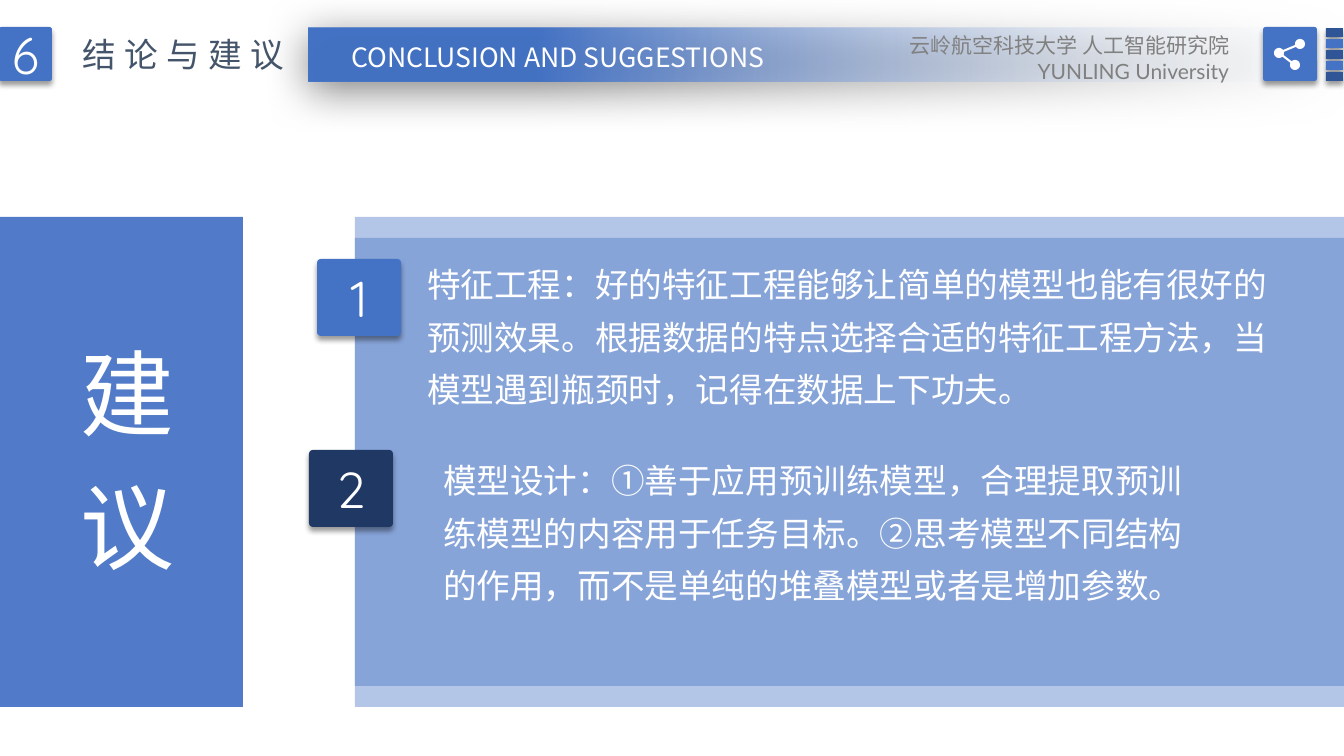
"""Build the suggestions slide of the conclusion section."""
import math
from dataclasses import dataclass

import lxml.etree
import pptx
import pptx.dml.color
import pptx.enum.shapes
import pptx.enum.text
import pptx.oxml.ns
import pptx.shapes.autoshape
import pptx.shapes.base
import pptx.slide
import pptx.text.text
import pptx.util

EMU_PER_PX = 12192000 / 1344
WHITE = pptx.dml.color.RGBColor(0xFF, 0xFF, 0xFF)
PALE = pptx.dml.color.RGBColor(0xF7, 0xFA, 0xFD)
BLUE = pptx.dml.color.RGBColor(0x44, 0x72, 0xC4)
DEEP_BLUE = pptx.dml.color.RGBColor(0x2F, 0x55, 0x97)
NAVY = pptx.dml.color.RGBColor(0x20, 0x38, 0x64)
SLATE = pptx.dml.color.RGBColor(0x44, 0x54, 0x6A)
GREY = pptx.dml.color.RGBColor(0x80, 0x80, 0x80)
CHINESE = "Noto Sans CJK SC"
RECTANGLE = pptx.enum.shapes.MSO_SHAPE.RECTANGLE
ROUNDED = pptx.enum.shapes.MSO_SHAPE.ROUNDED_RECTANGLE
LEFT = pptx.enum.text.PP_ALIGN.LEFT
CENTER = pptx.enum.text.PP_ALIGN.CENTER
RIGHT = pptx.enum.text.PP_ALIGN.RIGHT


@dataclass(frozen=True)
class Box:
    left: int
    top: int
    width: int
    height: int


@dataclass(frozen=True)
class Style:
    size: int
    color: pptx.dml.color.RGBColor
    font: str = CHINESE
    spacing: int = 0
    align: pptx.enum.text.PP_ALIGN = LEFT


@dataclass(frozen=True)
class Shadow:
    opacity: int
    blur: int
    distance: int
    angle: int


@dataclass(frozen=True)
class Block:
    box: Box
    color: pptx.dml.color.RGBColor
    opacity: int = 100
    kind: pptx.enum.shapes.MSO_SHAPE = ROUNDED
    corner: float = 0.05
    shadow: Shadow | None = Shadow(40, 4, 3, 90)
    number: str = ""


@dataclass(frozen=True)
class Suggestion:
    box: Box
    text: str


NUMBER = Style(36, WHITE, "Quicksand", align=CENTER)
BODY = Style(24, WHITE)
PANELS = [Block(Box(355, top, 989, 469), BLUE, 40, corner=0, shadow=None) for top in (238, 217)]
BADGES = [
    Block(Box(317, 259, 84, 77), BLUE, number="1"),
    Block(Box(309, 450, 84, 77), NAVY, number="2"),
]
SIDE = Block(Box(-1, 217, 244, 490), BLUE, 93, RECTANGLE, shadow=None)
BANNER = Block(Box(309, 28, 1034, 53), BLUE, kind=RECTANGLE, shadow=Shadow(50, 31, 6, 97))
SECTION = Block(Box(-1, 27, 53, 54), BLUE, number="6")
STRIPES = [
    Block(Box(1326, 28 + 11 * row, 17, 9), BLUE if row % 2 else DEEP_BLUE) for row in range(5)
]
SHARE_TILE = Block(Box(1263, 27, 54, 54), BLUE)
SUGGESTIONS = [
    Suggestion(
        Box(417, 247, 872, 168),
        "特征工程：好的特征工程能够让简单的模型也能有很好的预测效果。"
        "根据数据的特点选择合适的特征工程方法，当模型遇到瓶颈时，记得在数据上下功夫。",
    ),
    Suggestion(
        Box(433, 443, 786, 222),
        "模型设计：①善于应用预训练模型，合理提取预训练模型的内容用于任务目标。"
        "②思考模型不同结构的作用，而不是单纯的堆叠模型或者是增加参数。",
    ),
]


def px(length: float) -> pptx.util.Emu:
    return pptx.util.Emu(round(length * EMU_PER_PX))


def edges(box: Box) -> tuple[pptx.util.Emu, ...]:
    return px(box.left), px(box.top), px(box.width), px(box.height)


def add_child(parent: lxml.etree.ElementBase, tag: str, **attributes: object) -> lxml.etree.ElementBase:
    child = lxml.etree.SubElement(parent, pptx.oxml.ns.qn(tag))
    for name, value in attributes.items():
        child.set(name, str(value))
    return child


def fade(shape: pptx.shapes.autoshape.Shape, opacity: int) -> None:
    color = next(shape.element.spPr.iter(pptx.oxml.ns.qn("a:srgbClr")))
    add_child(color, "a:alpha", val=opacity * 1000)


def cast_shadow(shape: pptx.shapes.autoshape.Shape, shadow: Shadow) -> None:
    effects = shape.element.spPr.find(pptx.oxml.ns.qn("a:effectLst"))
    outer = add_child(
        effects, "a:outerShdw", blurRad=pptx.util.Pt(shadow.blur),
        dist=pptx.util.Pt(shadow.distance), dir=shadow.angle * 60000, rotWithShape=0,
    )
    add_child(add_child(outer, "a:srgbClr", val="000000"), "a:alpha", val=shadow.opacity * 1000)


def write(paragraph: pptx.text.text._Paragraph, text: str, style: Style) -> None:
    paragraph.alignment = style.align
    run = paragraph.add_run()
    run.text = text
    run.font.size = pptx.util.Pt(style.size)
    run.font.color.rgb = style.color
    run.font.name = style.font
    properties = run.font._element
    add_child(properties, "a:ea", typeface=style.font)
    if style.spacing:
        properties.set("spc", str(style.spacing * 100))


def draw_block(slide: pptx.slide.Slide, block: Block) -> pptx.shapes.autoshape.Shape:
    shape = slide.shapes.add_shape(block.kind, *edges(block.box))
    if block.kind == ROUNDED:
        shape.adjustments[0] = block.corner
    shape.fill.solid()
    shape.fill.fore_color.rgb = block.color
    shape.line.fill.background()
    shape.shadow.inherit = False
    if block.opacity < 100:
        fade(shape, block.opacity)
    if block.shadow:
        cast_shadow(shape, block.shadow)
    if block.number:
        shape.text_frame.vertical_anchor = pptx.enum.text.MSO_ANCHOR.MIDDLE
        write(shape.text_frame.paragraphs[0], block.number, NUMBER)
    return shape


def draw_text(
    slide: pptx.slide.Slide, box: Box, text: str, style: Style, wrap: bool = False
) -> pptx.text.text.TextFrame:
    frame = slide.shapes.add_textbox(*edges(box)).text_frame
    frame.word_wrap = wrap
    write(frame.paragraphs[0], text, style)
    return frame


def fill_placeholder(
    placeholder: pptx.shapes.base.BaseShape, box: Box, text: str, style: Style, wrap: bool, line_spacing: float
) -> None:
    placeholder.element.getparent().append(placeholder.element)
    placeholder.left, placeholder.top, placeholder.width, placeholder.height = edges(box)
    frame = placeholder.text_frame
    frame.word_wrap = wrap
    frame.auto_size = pptx.enum.text.MSO_AUTO_SIZE.NONE
    frame.vertical_anchor = pptx.enum.text.MSO_ANCHOR.TOP
    paragraph = frame.paragraphs[0]
    write(paragraph, text, style)
    paragraph.line_spacing = line_spacing
    paragraph.space_before = pptx.util.Pt(0)
    properties = paragraph._p.get_or_add_pPr()
    properties.set("marL", "0")
    properties.set("indent", "0")
    add_child(properties, "a:buNone")


def draw_banner(slide: pptx.slide.Slide) -> None:
    banner = draw_block(slide, BANNER)
    banner.fill.gradient()
    banner.fill.gradient_angle = 180
    for stop, color, position in zip(banner.fill.gradient_stops, (PALE, BLUE), (0, 0.78)):
        stop.color.rgb = color
        stop.position = position
    fade(banner, 0)


def draw_share_icon(slide: pptx.slide.Slide) -> None:
    top, hub, bottom = (1300, 44), (1279, 53), (1295, 65)
    arcs = [(top, 168, 504), (hub, -12, 24), (bottom, 228, 564), (hub, 48, 324)]
    outline = [
        (px(x + 5 * math.cos(math.radians(angle))), px(y + 5 * math.sin(math.radians(angle))))
        for (x, y), start, end in arcs
        for angle in range(start, end + 1, 12)
    ]
    builder = slide.shapes.build_freeform(*outline[0])
    builder.add_line_segments(outline[1:], close=True)
    icon = builder.convert_to_shape()
    icon.fill.solid()
    icon.fill.fore_color.rgb = WHITE
    icon.line.fill.background()
    icon.shadow.inherit = False


def main() -> None:
    presentation = pptx.Presentation()
    presentation.slide_width, presentation.slide_height = px(1344), px(756)
    slide = presentation.slides.add_slide(presentation.slide_layouts[3])
    title, *bodies = list(slide.placeholders)
    for block in PANELS + BADGES:
        draw_block(slide, block)
    for body, suggestion in zip(bodies, SUGGESTIONS):
        fill_placeholder(body, suggestion.box, suggestion.text, BODY, True, 1.3)
    draw_block(slide, SIDE)
    heading = draw_text(slide, Box(51, 337, 134, 245), "建 议", Style(67, WHITE, spacing=6))
    heading._txBody.bodyPr.set("vert", "eaVert")
    draw_banner(slide)
    draw_block(slide, SECTION)
    fill_placeholder(title, Box(72, 29, 224, 50), "结论与建议", Style(24, SLATE, spacing=6), False, 1.0)
    draw_text(slide, Box(325, 36, 466, 42), "CONCLUSION AND SUGGESTIONS", Style(19, WHITE, align=CENTER))
    for block in STRIPES + [SHARE_TILE]:
        draw_block(slide, block)
    draw_share_icon(slide)
    school = draw_text(
        slide, Box(897, 28, 366, 61), "云岭航空科技大学 人工智能研究院", Style(15, GREY, align=RIGHT), True
    )
    school.paragraphs[0]._p.get_or_add_pPr().set("marR", str(px(24)))
    write(school.add_paragraph(), "YUNLING University", Style(15, GREY, "Lato", align=RIGHT))
    presentation.save("out.pptx")


if __name__ == "__main__":
    main()
